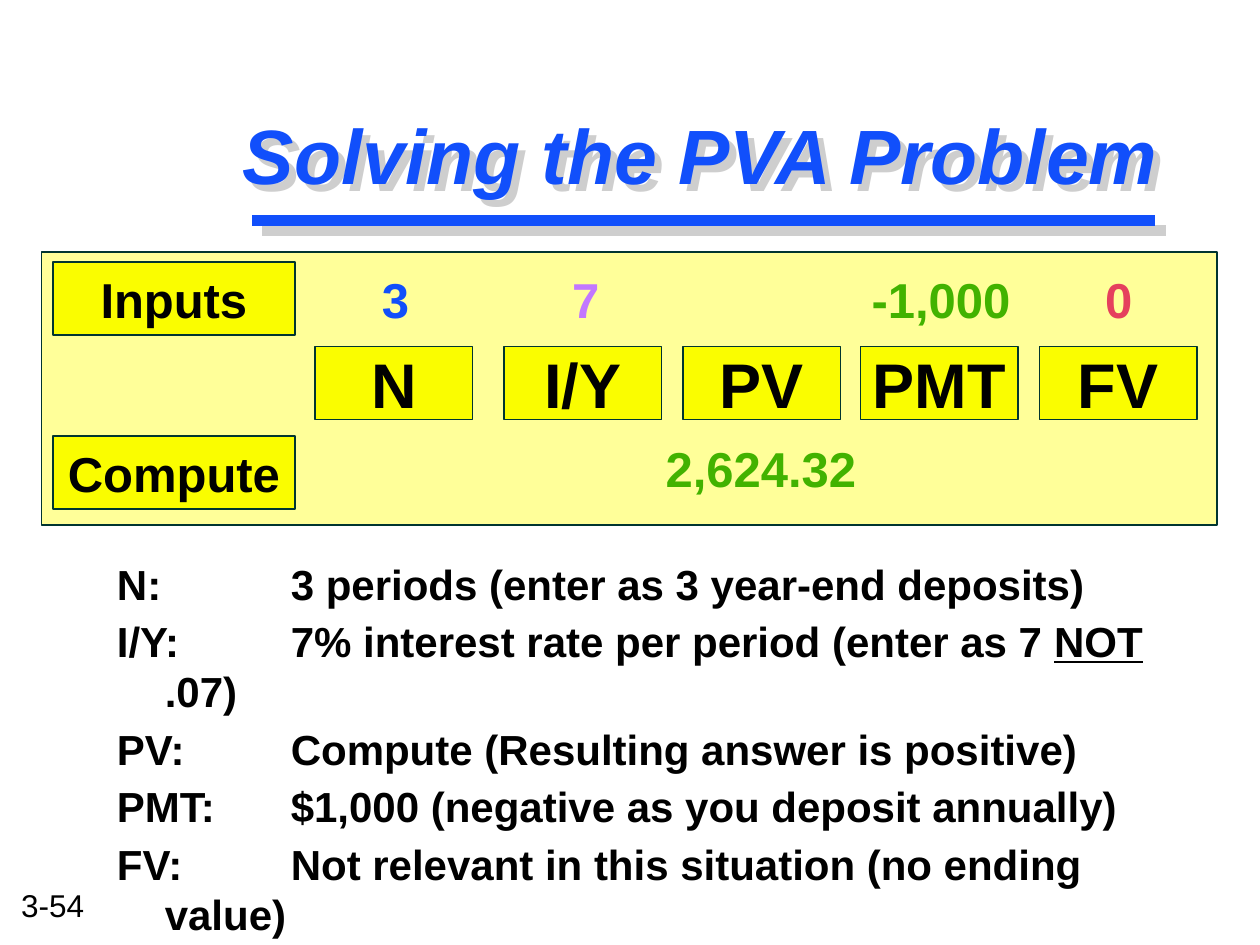
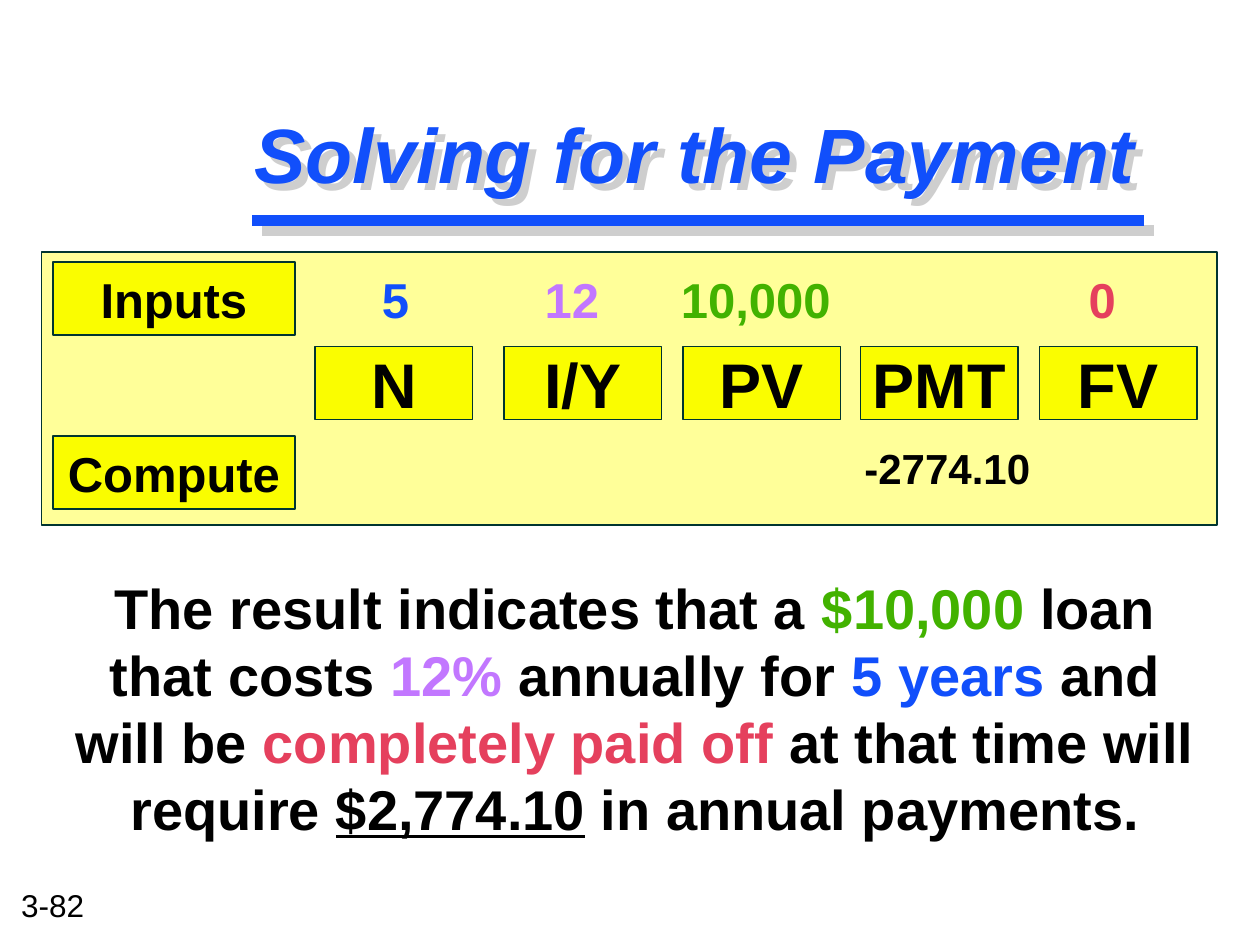
from lxml import etree
from pptx import Presentation
from pptx.dml.color import RGBColor
from pptx.enum.shapes import MSO_CONNECTOR, MSO_SHAPE
from pptx.enum.text import MSO_ANCHOR, PP_ALIGN
from pptx.oxml import parse_xml
from pptx.oxml.ns import qn
from pptx.util import Inches, Pt

RECT = MSO_SHAPE.RECTANGLE
STRAIGHT = MSO_CONNECTOR.STRAIGHT
TOP, MIDDLE = MSO_ANCHOR.TOP, MSO_ANCHOR.MIDDLE
LEFT, CENTER = PP_ALIGN.LEFT, PP_ALIGN.CENTER

COLORS = {
    "black": "000000", "blue": "114FFB", "violet": "C277FF", "green": "42B200",
    "red": "E5405D", "shadow": "CECECE", "panel": "FFFF99", "key": "FAFD00",
    "edge": "003530",
}
TITLE_SHADOW = (
    '<a:effectLst xmlns:a="http://schemas.openxmlformats.org/drawingml/2006/main">'
    '<a:outerShdw dist="71842" dir="2700000" algn="ctr" rotWithShape="0">'
    f'<a:srgbClr val="{COLORS["shadow"]}"/></a:outerShdw></a:effectLst>'
)
KEYS = [("N", 2.5), ("I/Y", 4), ("PV", 5.42), ("PMT", 6.83), ("FV", 8.25)]
ROW_LABELS = [("Inputs", 2.08), ("Compute", 3.46)]
BAND_LEFT, INSET = 2.5, 0.1

SLIDES = [
    {
        "number": "3-54",
        "title": "Solving the PVA Problem",
        "title_box": (1.83, 0.52, 8.08, 1.4),
        "rule_end": 9.17,
        "inputs": [("3", "blue", 3.14), ("7", "violet", 4.65),
                   ("-1,000", "green", 7.47), ("0", "red", 8.88)],
        "answer": [("2,624.32", "green", 6.04)],
        "answer_size": 28,
        "body_box": (0.83, 4.38, 8.67, 2.5),
        "body": [
            [("N:\t\t3 periods (enter as 3 year-end deposits)", {})],
            [("I/Y:\t7% interest rate per period (enter as 7 ", {}),
             ("NOT", {"underline": True}), (" .07)", {})],
            [("PV:\tCompute (Resulting answer is positive)", {})],
            [("PMT:\t$1,000 (negative as you deposit annually)", {})],
            [("FV:\tNot relevant in this situation (no ending value)", {})],
        ],
        "body_size": 24,
        "body_align": LEFT,
        "hanging": 0.38,
    },
    {
        "number": "3-82",
        "title": "Solving for the Payment",
        "title_box": (1.92, 0.75, 8.08, 0.92),
        "rule_end": 9.08,
        "inputs": [("5", "blue", 3.14), ("12", "violet", 4.54),
                   ("10,000", "green", 6), ("0", "red", 8.75)],
        "answer": [("-2774.10", "black", 7.52)],
        "answer_size": 24,
        "body_box": (0.5, 4.5, 9.08, 2.42),
        "body": [[
            ("The result indicates that a ", {}), ("$10,000", {"color": "green"}),
            (" loan that costs ", {}), ("12%", {"color": "violet"}),
            (" annually for ", {}), ("5 years", {"color": "blue"}),
            (" and will be ", {}), ("completely paid off", {"color": "red"}),
            (" at that time will require ", {}), ("$2,774.10", {"underline": True}),
            (" in annual payments.", {}),
        ]],
        "body_size": 32,
        "body_align": CENTER,
        "hanging": 0,
    },
]


def write(paragraph, text, size, color="black", **style):
    run = paragraph.add_run()
    run.text = text
    formats = {"name": "Arial", "size": Pt(size), "bold": True, **style}
    for attribute, value in formats.items():
        setattr(run.font, attribute, value)
    run.font.color.rgb = RGBColor.from_string(COLORS[color])


def add_block(slide, box, fill=None, edge=False, wrap=True, anchor=MIDDLE):
    lengths = [Inches(v) for v in box]
    if fill:
        block = slide.shapes.add_shape(RECT, *lengths)
        block.shadow.inherit = False
        block.fill.solid()
        block.fill.fore_color.rgb = RGBColor.from_string(COLORS[fill])
        if edge:
            block.line.color.rgb = RGBColor.from_string(COLORS["edge"])
            block.line.width = Pt(1)
        else:
            block.line.fill.background()
    else:
        block = slide.shapes.add_textbox(*lengths)
    block.text_frame.word_wrap = wrap
    block.text_frame.vertical_anchor = anchor
    return block


prs = Presentation()
prs.slide_width, prs.slide_height = Inches(10), Inches(7.5)

for content in SLIDES:
    slide = prs.slides.add_slide(prs.slide_layouts[6])

    page = add_block(slide, (0.07, 6.98, 0.73, 0.4), wrap=False, anchor=TOP)
    write(page.text_frame.paragraphs[0], content["number"], 18, bold=False)

    body = add_block(slide, content["body_box"], anchor=TOP).text_frame
    for index, runs in enumerate(content["body"]):
        paragraph = body.add_paragraph() if index else body.paragraphs[0]
        paragraph.alignment = content["body_align"]
        paragraph.space_after = Pt(4)
        if content["hanging"]:
            margins = paragraph._p.get_or_add_pPr()
            margins.set("marL", str(Inches(content["hanging"])))
            margins.set("indent", str(-Inches(content["hanging"])))
            margins.set("defTabSz", str(Inches(1)))
        for text, style in runs:
            write(paragraph, text, content["body_size"], **style)

    for color, offset in [("shadow", 0.08), ("blue", 0)]:
        if color == "blue":
            title = add_block(slide, content["title_box"])
            title._element.spPr.append(parse_xml(TITLE_SHADOW))
            write(title.text_frame.paragraphs[0], content["title"], 44, "blue", italic=True)
        rule_y = Inches(1.75 + offset)
        rule = slide.shapes.add_connector(
            STRAIGHT, Inches(2 + offset), rule_y,
            Inches(content["rule_end"] + offset), rule_y)
        rule.line.color.rgb = RGBColor.from_string(COLORS[color])
        rule.line.width = Pt(6)
        etree.SubElement(rule._element.spPr, qn("a:effectLst"))

    add_block(slide, (0.33, 2, 9.33, 2.17), "panel", edge=True)
    labels = [(key, (left, 2.75, 1.25, 0.58), 36) for key, left in KEYS]
    labels += [(row, (0.42, top, 1.92, 0.58), 28) for row, top in ROW_LABELS]
    for label, box, size in labels:
        button = add_block(slide, box, "key", edge=True, wrap=False)
        paragraph = button.text_frame.paragraphs[0]
        paragraph.alignment = CENTER
        write(paragraph, label, size)

    bands = [(2.08, content["inputs"], 28),
             (3.42, content["answer"], content["answer_size"])]
    for top, values, size in bands:
        band = add_block(slide, (BAND_LEFT, top, 7, 0.58), "panel")
        paragraph = band.text_frame.paragraphs[0]
        paragraph.alignment = LEFT
        tabs = etree.SubElement(paragraph._p.get_or_add_pPr(), qn("a:tabLst"))
        for value, color, center in values:
            position = Inches(center - BAND_LEFT - INSET)
            etree.SubElement(tabs, qn("a:tab"), pos=str(position), algn="ctr")
            write(paragraph, "\t" + value, size, color)

prs.save("out.pptx")
